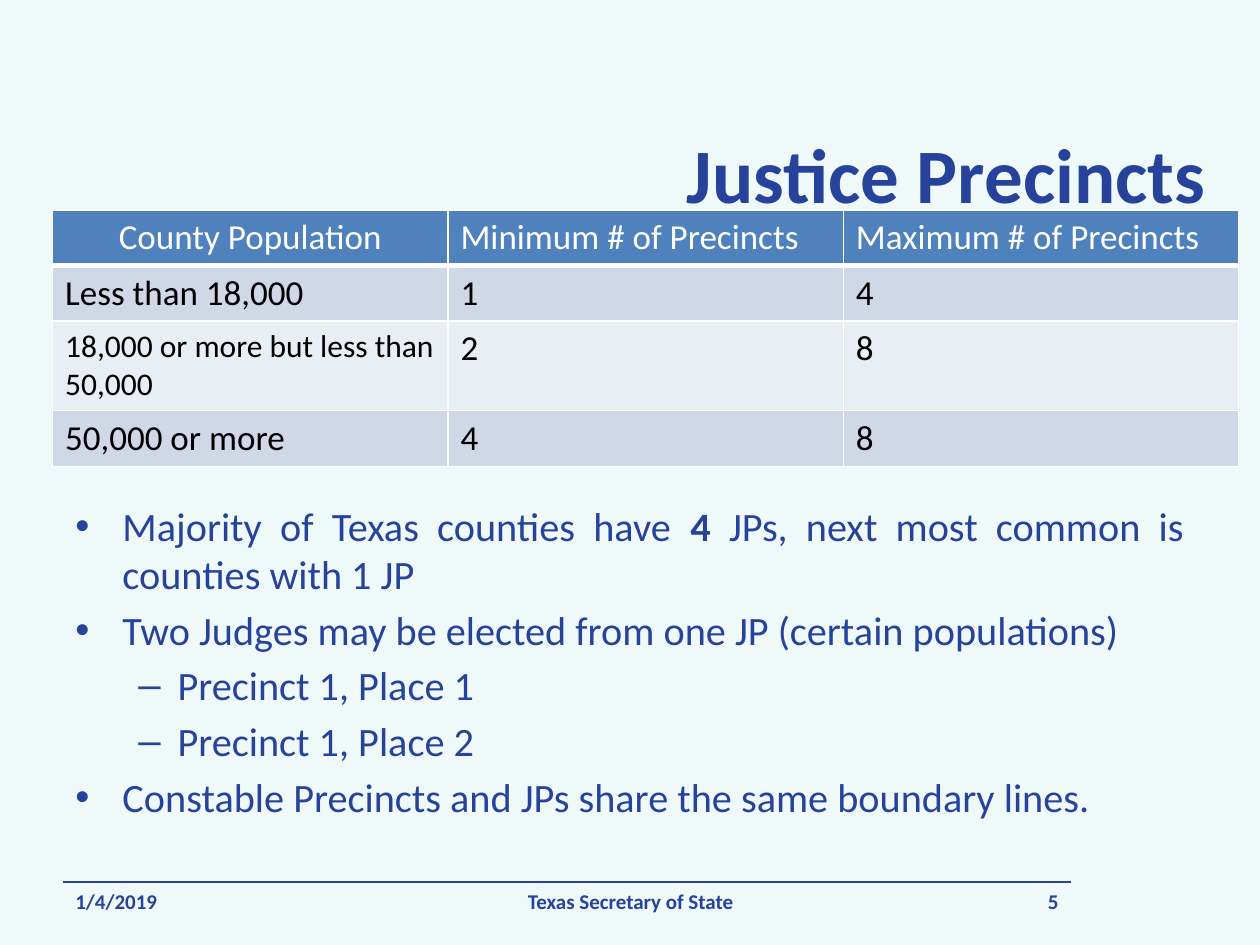
from lxml import etree
from pptx import Presentation
from pptx import util as u
from pptx.dml.color import RGBColor
from pptx.enum import shapes, text
from pptx.oxml.ns import qn

COLORS = {
    "background": "F0F9FA",
    "navy": "26429A",
    "header": "4F81BD",
    "band_dark": "D0D8E8",
    "band_light": "E9EDF4",
    "white": "FFFFFF",
    "black": "000000",
}
ALIGN = text.PP_ALIGN


def style(para, size, color, bold=False, align=ALIGN.LEFT):
    para.alignment = align
    para.font.name = "Calibri"
    para.font.size = u.Pt(size)
    para.font.bold = bold
    para.font.color.rgb = RGBColor.from_string(COLORS[color])


def add_box(page, left, top, width, height, anchor=text.MSO_ANCHOR.MIDDLE):
    box = page.shapes.add_textbox(u.Cm(left), u.Cm(top), u.Cm(width), u.Cm(height))
    box.text_frame.word_wrap = True
    box.text_frame.vertical_anchor = anchor
    return box.text_frame


deck = Presentation()
deck.slide_width, deck.slide_height = u.Cm(25.4), u.Cm(19.05)
page = deck.slides.add_slide(deck.slide_layouts[6])
page.background.fill.solid()
page.background.fill.fore_color.rgb = RGBColor.from_string(COLORS["background"])

# Footer rule
rule = page.shapes.add_connector(
    shapes.MSO_CONNECTOR.STRAIGHT, u.Cm(1.27), u.Cm(17.78), u.Cm(21.59), u.Cm(17.78))
rule.line.color.rgb = RGBColor.from_string(COLORS["navy"])
rule.line.width = u.Pt(0.75)
etree.SubElement(rule._element.spPr, qn("a:effectLst"))

# Title
title = add_box(page, 0.64, 1.9, 23.92, 3.18).paragraphs[0]
title.text = "Justice Precincts"
style(title, 44, "navy", True, ALIGN.RIGHT)

# Bullets: level and runs, where every second run is bold
bullets = [
    (0, ["Majority of Texas counties have ", "4 ",
         "JPs, next most common is counties with 1 JP"]),
    (0, ["Two Judges may be elected from one JP (certain populations)"]),
    (1, ["Precinct 1, Place 1"]),
    (1, ["Precinct 1, Place 2"]),
    (0, ["Constable Precincts and JPs share the same boundary lines."]),
]
levels = [("•", 0.95, 0.95), ("–", 2.06, 0.79)]  # mark, margin, hanging indent
body = add_box(page, 1.27, 9.98, 22.86, 6.9, text.MSO_ANCHOR.TOP)
for index, (level, runs) in enumerate(bullets):
    para = body.paragraphs[0] if index == 0 else body.add_paragraph()
    style(para, 23, "navy", align=ALIGN.JUSTIFY)
    para.level = level
    para.space_before = u.Pt(4.2 if index else 0)
    for number, words in enumerate(runs):
        span = para.add_run()
        span.text = words
        span.font.bold = number % 2 == 1
    mark, margin, hanging = levels[level]
    props = para._p.get_or_add_pPr()
    props.set("marL", str(u.Cm(margin)))
    props.set("indent", str(-u.Cm(hanging)))
    bullet_font = etree.Element(qn("a:buFont"), typeface="Arial")
    bullet = etree.Element(qn("a:buChar"), char=mark)
    defaults = props.find(qn("a:defRPr"))
    defaults.addprevious(bullet_font)
    defaults.addprevious(bullet)

# Footer
footer = [
    (1.27, 5.92, "1/4/2019", ALIGN.LEFT),
    (8.69, 8.05, "Texas Secretary of State", ALIGN.CENTER),
    (18.62, 2.97, "5", ALIGN.RIGHT),
]
for left, width, words, align in footer:
    para = add_box(page, left, 17.65, width, 1.02).paragraphs[0]
    para.text = words
    style(para, 12, "navy", True, align)

# Precinct table
rows = [
    ["County Population", "Minimum # of Precincts", "Maximum # of Precincts"],
    ["Less than 18,000", "1", "4"],
    ["18,000 or more but less than 50,000", "2", "8"],
    ["50,000 or more", "4", "8"],
]
heights = [1.12, 1.12, 1.81, 1.12]
fills = ["header", "band_dark", "band_light", "band_dark"]
table = page.shapes.add_table(
    4, 3, u.Cm(1.06), u.Cm(4.23), u.Cm(23.91), u.Cm(sum(heights))).table
for column in table.columns:
    column.width = u.Cm(7.97)
for r, words_in_row in enumerate(rows):
    table.rows[r].height = u.Cm(heights[r])
    for c, words in enumerate(words_in_row):
        cell = table.cell(r, c)
        cell.text = words
        style(cell.text_frame.paragraphs[0],
              18 if (r, c) == (2, 0) else 20,
              "black" if r else "white",
              align=ALIGN.CENTER if (r, c) == (0, 0) else ALIGN.LEFT)
        props = cell._tc.get_or_add_tcPr()
        for side in ("lnL", "lnR", "lnT", "lnB"):
            points = 3 if r == 0 and side == "lnB" else 1
            edge = etree.SubElement(props, qn("a:" + side), w=str(u.Pt(points)))
            paint = etree.SubElement(edge, qn("a:solidFill"))
            etree.SubElement(paint, qn("a:srgbClr"), val=COLORS["white"])
        cell.fill.solid()
        cell.fill.fore_color.rgb = RGBColor.from_string(COLORS[fills[r]])

deck.save("out.pptx")
